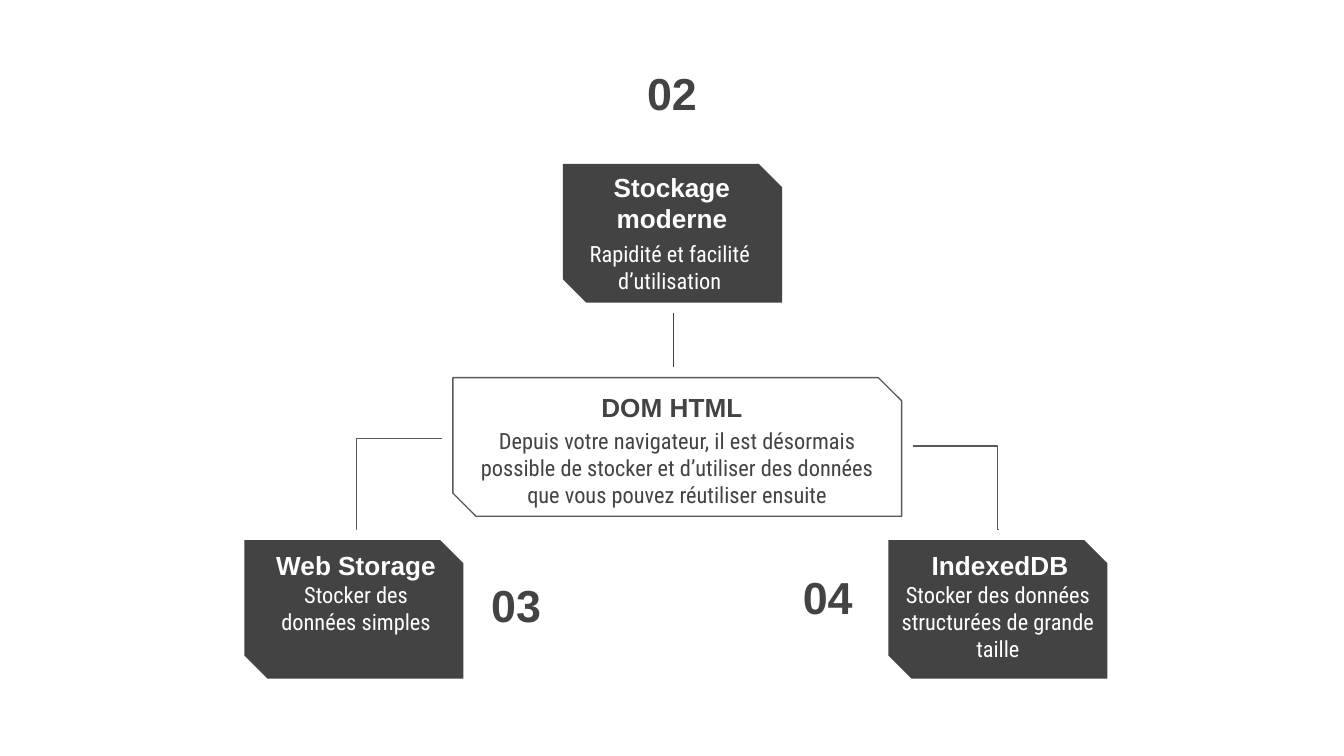
"""Build a slide on browser storage: a central DOM HTML card linked to three numbered cards."""
from lxml.etree import SubElement
from pptx import Presentation
from pptx.dml.color import RGBColor
from pptx.enum.shapes import MSO_CONNECTOR, MSO_SHAPE
from pptx.enum.text import MSO_ANCHOR, PP_ALIGN
from pptx.oxml.ns import qn
from pptx.util import Cm, Pt

DARK = RGBColor(0x43, 0x43, 0x43)
GREY = RGBColor(0x59, 0x59, 0x59)
WHITE = RGBColor(0xFF, 0xFF, 0xFF)


def write_text(frame, text, *, font, size, color, bold=False, anchor=MSO_ANCHOR.TOP):
    frame.word_wrap = True
    frame.vertical_anchor = anchor
    frame.margin_left = frame.margin_right = Cm(0.25)
    frame.margin_top = frame.margin_bottom = Cm(0.25)
    paragraph = frame.paragraphs[0]
    paragraph.alignment = PP_ALIGN.CENTER
    run = paragraph.add_run()
    run.text = text
    run.font.name = font
    run.font.size = Pt(size)
    run.font.bold = bold
    run.font.color.rgb = color


class StorageSlide:
    heading_font = "Arial"
    body_font = "Roboto Condensed"
    line_width = Pt(0.75)

    def __init__(self, slide):
        self.shapes = slide.shapes

    def card(self, left, top, width=4.14, height=2.62, filled=True):
        card = self.shapes.add_shape(
            MSO_SHAPE.SNIP_2_DIAG_RECTANGLE, Cm(left), Cm(top), Cm(width), Cm(height)
        )
        card.shadow.inherit = False
        card.adjustments[0] = 0
        card.adjustments[1] = 0.167
        if filled:
            card.fill.solid()
            card.fill.fore_color.rgb = DARK
            card.line.fill.background()
        else:
            card.fill.background()
            card.line.color.rgb = GREY
            card.line.width = self.line_width

    def text(self, text, box, **text_format):
        textbox = self.shapes.add_textbox(*map(Cm, box))
        write_text(textbox.text_frame, text, **text_format)

    def heading(self, text, left, top, color=WHITE):
        self.text(text, (left, top, 3.96, 1.09), font=self.heading_font, size=14,
                  color=color, bold=True, anchor=MSO_ANCHOR.BOTTOM)

    def body(self, text, left, top, width, height=1.73, color=WHITE):
        self.text(text, (left, top, width, height), font=self.body_font, size=12, color=color)

    def number(self, text, left, top, width=2.29, height=1.4):
        self.text(text, (left, top, width, height), font=self.heading_font, size=24,
                  color=DARK, bold=True)

    def link(self, start, end, kind=MSO_CONNECTOR.STRAIGHT, color=GREY):
        link = self.shapes.add_connector(kind, *map(Cm, start + end))
        link.line.color.rgb = color
        link.line.width = self.line_width
        properties = link._element.spPr
        SubElement(properties, qn("a:effectLst"))
        if kind == MSO_CONNECTOR.ELBOW:
            guides = properties.find(qn("a:prstGeom")).get_or_add_avLst()
            SubElement(guides, qn("a:gd"), name="adj1", fmla="val 99700")


def main():
    presentation = Presentation()
    presentation.slide_width = Cm(25.4)
    presentation.slide_height = Cm(14.29)
    storage = StorageSlide(presentation.slides.add_slide(presentation.slide_layouts[6]))

    storage.number("02", 5.46, 0.99, 14.48, 2.62)

    storage.card(4.62, 10.21)
    storage.heading("Web Storage", 4.75, 10.13)
    storage.body("Stocker des données simples", 4.9, 10.74, 3.66)

    storage.card(16.79, 10.21)
    storage.heading("IndexedDB", 16.92, 10.13)
    storage.body("Stocker des données structurées de grande taille", 16.79, 10.74, 4.14)

    storage.link((12.73, 5.92), (12.73, 6.93), color=DARK)
    storage.card(8.56, 7.14, width=8.48, filled=False)
    storage.card(10.64, 3.1)
    storage.link((8.36, 8.29), (6.73, 10.01), MSO_CONNECTOR.ELBOW)
    storage.link((17.25, 8.43), (18.86, 10.01), MSO_CONNECTOR.ELBOW)

    storage.heading("DOM HTML", 10.72, 7.16, DARK)
    storage.body(
        "Depuis votre navigateur, il est désormais possible de stocker et d’utiliser "
        "des données que vous pouvez réutiliser ensuite",
        8.56, 7.82, 8.48, 2.29, DARK,
    )
    storage.heading("Stockage moderne", 10.72, 3.58)
    storage.body("Rapidité et facilité d’utilisation", 10.69, 4.29, 3.94)

    storage.number("03", 8.61, 10.67)
    storage.number("04", 14.5, 10.52)

    presentation.save("out.pptx")


if __name__ == "__main__":
    main()
